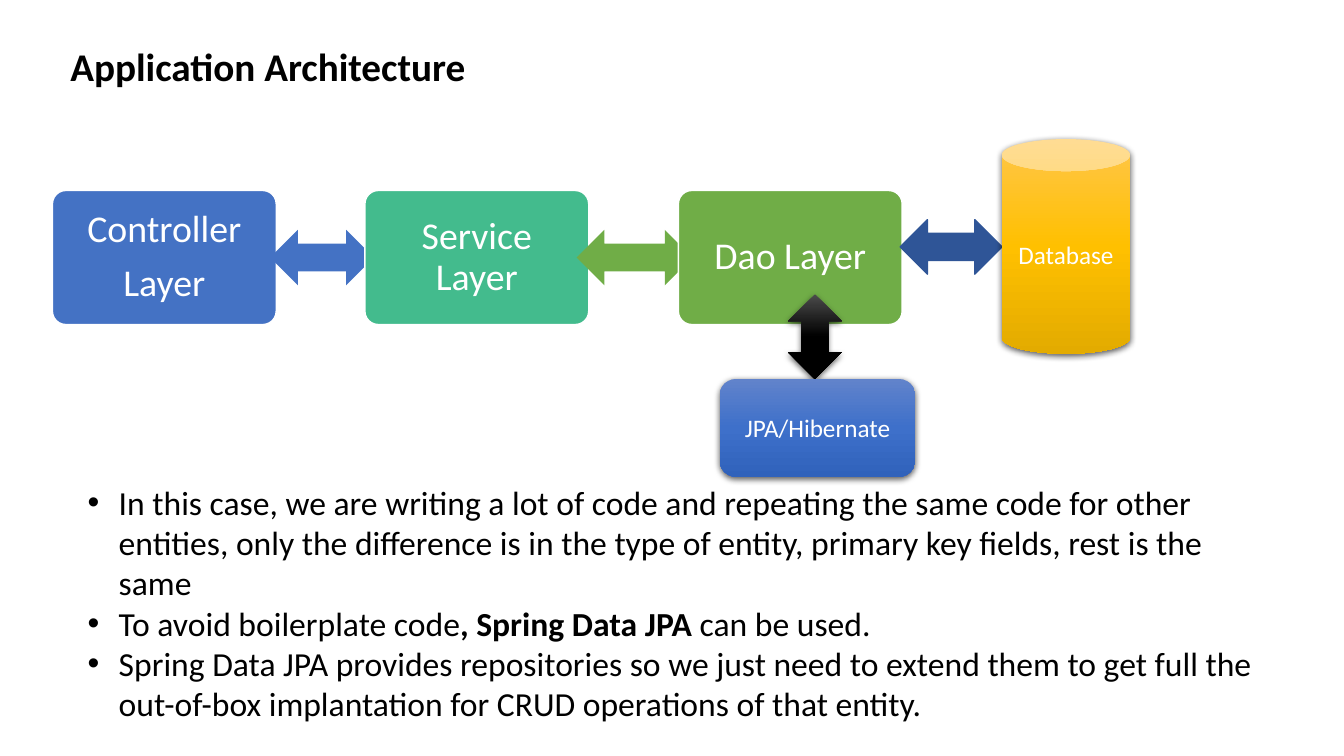
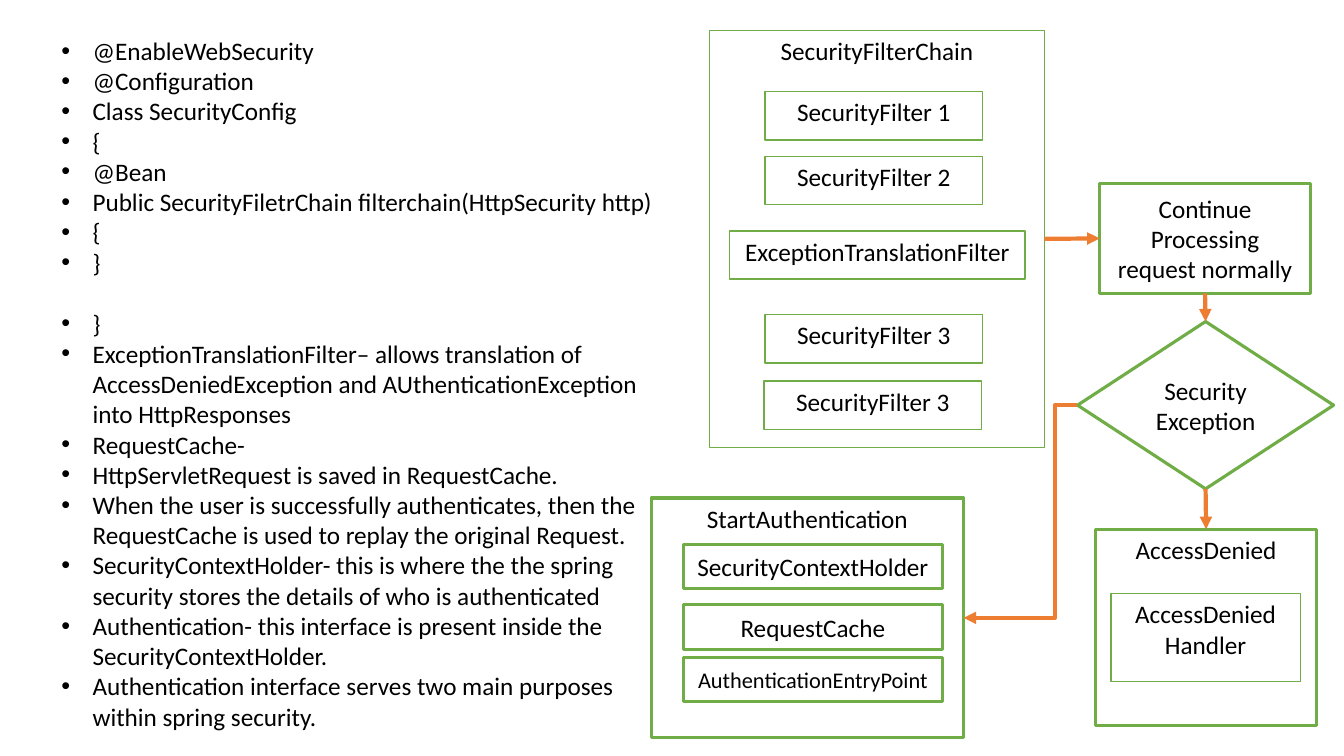
from lxml import etree
from pptx import Presentation
from pptx.dml.color import RGBColor
from pptx.enum.shapes import MSO_CONNECTOR, MSO_SHAPE
from pptx.enum.text import MSO_ANCHOR, PP_ALIGN
from pptx.oxml.ns import qn
from pptx.util import Inches, Pt

RECT, ROUND = MSO_SHAPE.RECTANGLE, MSO_SHAPE.ROUNDED_RECTANGLE
WIDE, TALL = MSO_SHAPE.LEFT_RIGHT_ARROW, MSO_SHAPE.UP_DOWN_ARROW
CAN, DIAMOND = MSO_SHAPE.CAN, MSO_SHAPE.FLOWCHART_DECISION
LINE, ELBOW = MSO_CONNECTOR.STRAIGHT, MSO_CONNECTOR.ELBOW
LEFT, CENTER = PP_ALIGN.LEFT, PP_ALIGN.CENTER
TOP, MIDDLE = MSO_ANCHOR.TOP, MSO_ANCHOR.MIDDLE
NORTH, WEST, SOUTH, EAST = range(4)  # connection sites

FONT = "Calibri"
COLS, ROWS = 133.33, 75  # grid cells on a slide
CELL = 0.1  # inches
HANG = 0.31  # inches, bullet indent
THIN, THICK = 1, 2.25
COLORS = {
    "black": "000000", "white": "FFFFFF", "blue": "4472C4", "navy": "2F5597",
    "teal": "43BB8D", "green": "70AD47", "orange": "ED7D31",
}
FADES = {
    "gold": ("FFC64B", "FFC000", "E3AB00"),
    "coal": ("4B4B4B", "000000", "000000"),
    "sky": ("6183CB", "3E70CA", "3062BB"),
}

POINTS = [
    "In this case, we are writing a lot of code and repeating the same code for other "
    "entities, only the difference is in the type of entity, primary key fields, rest is the same",
    "To avoid boilerplate code**, Spring Data JPA **can be used.",
    "Spring Data JPA provides repositories so we just need to extend them to get full the "
    "out-of-box implantation for CRUD operations of that entity.",
]
CODE = [
    "@EnableWebSecurity", "@Configuration", "Class SecurityConfig", "{", "@Bean",
    "Public SecurityFiletrChain filterchain(HttpSecurity http)", "{", "}",
]
NOTES = [
    "}",
    "ExceptionTranslationFilter– allows translation of AccessDeniedException and "
    "AUthenticationException into HttpResponses",
    "RequestCache-",
    "HttpServletRequest is saved in RequestCache.",
    "When the user is successfully authenticates, then the RequestCache is used to replay "
    "the original Request.",
    "SecurityContextHolder- this is where the the spring security stores the details of "
    "who is authenticated",
    "Authentication- this interface is present inside the SecurityContextHolder.",
    "Authentication interface serves two main purposes within spring security.",
]


def rgb(name):
    return RGBColor.from_string(COLORS[name])


def grid(*cells):
    return [Inches(n * CELL) for n in cells]


def node(parent, tag, **attrs):
    return etree.SubElement(parent, qn(tag), {k: str(v) for k, v in attrs.items()})


def write(frame, lines, size, color="black", align=LEFT, anchor=TOP, bold=None, bullet=False):
    """Fill a text frame; ** switches bold on and off within a line."""
    frame.word_wrap = True
    frame.vertical_anchor = anchor
    for i, line in enumerate(lines):
        para = frame.add_paragraph() if i else frame.paragraphs[0]
        para.alignment = align
        if bullet:
            props = para._p.get_or_add_pPr()
            props.set("marL", str(Inches(HANG)))
            props.set("indent", str(-Inches(HANG)))
            node(props, "a:buFont", typeface="Arial")
            node(props, "a:buChar", char="•")
        font = para.font
        font.name, font.size, font.bold = FONT, Pt(size), bold
        font.color.rgb = rgb(color)
        for j, part in enumerate(line.split("**")):
            run = para.add_run()
            run.text = part
            if j % 2:
                run.font.bold = True


def text(slide, at, lines, size, **style):
    box = slide.shapes.add_textbox(*grid(*at))
    write(box.text_frame, lines, size, **style)
    return box


def shape(slide, kind, at, fill, edge=None, width=THIN):
    item = slide.shapes.add_shape(kind, *grid(*at))
    item.shadow.inherit = False
    if edge:
        item.line.color.rgb = rgb(edge)
        item.line.width = Pt(width)
    else:
        item.line.fill.background()
    if fill in FADES:
        fade(item, FADES[fill])
    else:
        item.fill.solid()
        item.fill.fore_color.rgb = rgb(fill)
    return item


def fade(item, tones):
    """Give a shape a downward gradient and a soft shadow."""
    props = item._element.spPr
    grad = etree.Element(qn("a:gradFill"), rotWithShape="1")
    stops = node(grad, "a:gsLst")
    for i, tone in enumerate(tones):
        node(node(stops, "a:gs", pos=i * 50000), "a:srgbClr", val=tone)
    node(grad, "a:lin", ang=5400000, scaled=0)
    props.find(qn("a:prstGeom")).addnext(grad)
    shade = node(props.find(qn("a:effectLst")), "a:outerShdw", blurRad=Pt(4.5),
                 dist=Pt(1.5), dir=5400000, algn="ctr", rotWithShape=0)
    node(node(shade, "a:srgbClr", val=COLORS["black"]), "a:alpha", val=63000)


def layer(slide, left, fill, lines):
    box = shape(slide, ROUND, (left, 18.9, 22.2, 13.3), fill, "white")
    box.adjustments[0] = 0.1
    frame = box.text_frame
    write(frame, lines, 27, "white", CENTER, MIDDLE)
    frame.margin_left = frame.margin_right = Inches(0.15)
    for para in frame.paragraphs:
        para.line_spacing = 0.9
        para.space_after = Pt(9.5)


def panel(slide, at, *lines, kind=RECT, width=THICK, anchor=MIDDLE, size=18):
    box = shape(slide, kind, at, "white", "green", width)
    write(box.text_frame, lines, size, align=CENTER, anchor=anchor)
    return box


def link(slide, start, out, end, into, kind=LINE, bend=None):
    """Join two shapes at their sites with an arrow."""
    wire = slide.shapes.add_connector(kind, 0, 0, 0, 0)
    wire.begin_connect(start, out)
    wire.end_connect(end, into)
    wire.line.color.rgb = rgb("orange")
    wire.line.width = Pt(3)
    props = wire._element.spPr
    node(props.find(qn("a:ln")), "a:tailEnd", type="triangle")
    node(props, "a:effectLst")
    if bend is not None:
        marks = props.find(qn("a:prstGeom")).find(qn("a:avLst"))
        node(marks, "a:gd", name="adj1", fmla=f"val {round(bend * 100000)}")


def layers(slide):
    text(slide, (6, 3.7, 59.9, 5.7), ["Application Architecture"], 28, bold=True)
    layer(slide, 5.2, "blue", ["Controller", "Layer"])
    shape(slide, WIDE, (26.8, 22.8, 10.3, 5.5), "blue")
    layer(slide, 36.2, "teal", ["Service Layer"])
    shape(slide, WIDE, (57.2, 22.8, 11.5, 5.5), "green")
    layer(slide, 67.3, "green", ["Dao Layer"])
    shape(slide, WIDE, (89.3, 21.8, 10.1, 5.4), "navy", "navy")
    store = shape(slide, CAN, (99.4, 13.8, 12.7, 21.3), "gold")
    shape(slide, TALL, (78.2, 29.2, 5.3, 8.4), "coal")
    tool = shape(slide, ROUND, (71.4, 37.6, 19.4, 9.7), "sky")
    for box, label in ((store, "Database"), (tool, "JPA/Hibernate")):
        write(box.text_frame, [label], 18, "white", CENTER, MIDDLE)
    text(slide, (7.7, 47.3, 120, 25.2), POINTS, 24, bullet=True)


def security(slide):
    body = text(slide, (5.1, 3, 62.8, 70), CODE + NOTES, 18, bullet=True)
    body.text_frame.paragraphs[len(CODE)].space_before = Pt(22)

    chain = panel(slide, (70.4, 3, 33.2, 41.4), "SecurityFilterChain", width=THIN, anchor=TOP)
    for left, top, wide, label in (
        (75.9, 9.1, 21.6, "SecurityFilter 1"),
        (75.9, 15.5, 21.6, "SecurityFilter 2"),
        (72.4, 22.9, 29.3, "ExceptionTranslationFilter"),
        (75.9, 31.2, 21.6, "SecurityFilter 3"),
        (75.8, 37.8, 21.6, "SecurityFilter 3"),
    ):
        panel(slide, (left, top, wide, 4.8), label, width=THIN, anchor=TOP)

    normal = panel(slide, (109.1, 18.2, 20.9, 10.9), "Continue Processing request normally")
    check = panel(slide, (106.9, 31.9, 25.4, 16.6), "Security Exception", kind=DIAMOND)
    start = panel(slide, (64.6, 49.4, 31, 23.8), "StartAuthentication", anchor=TOP)
    for top, label, size in (
        (54, "SecurityContextHolder", 18),
        (60, "RequestCache", 18),
        (65.2, "AuthenticationEntryPoint", 16),
    ):
        panel(slide, (67.8, top, 25.7, 4.4), label, size=size)
    denied = panel(slide, (108.7, 52.5, 21.9, 19.5), "AccessDenied", anchor=TOP)
    panel(slide, (110.2, 58.9, 18.8, 8.7), "AccessDenied", "Handler", width=THIN, anchor=TOP)

    link(slide, chain, EAST, normal, WEST)
    link(slide, normal, SOUTH, check, NORTH)
    link(slide, check, WEST, start, EAST, ELBOW, 0.2)
    link(slide, check, SOUTH, denied, NORTH)


def main():
    deck = Presentation()
    deck.slide_width, deck.slide_height = grid(COLS, ROWS)
    blank = deck.slide_layouts[6]
    for build in (layers, security):
        build(deck.slides.add_slide(blank))
    deck.save("out.pptx")


if __name__ == "__main__":
    main()
